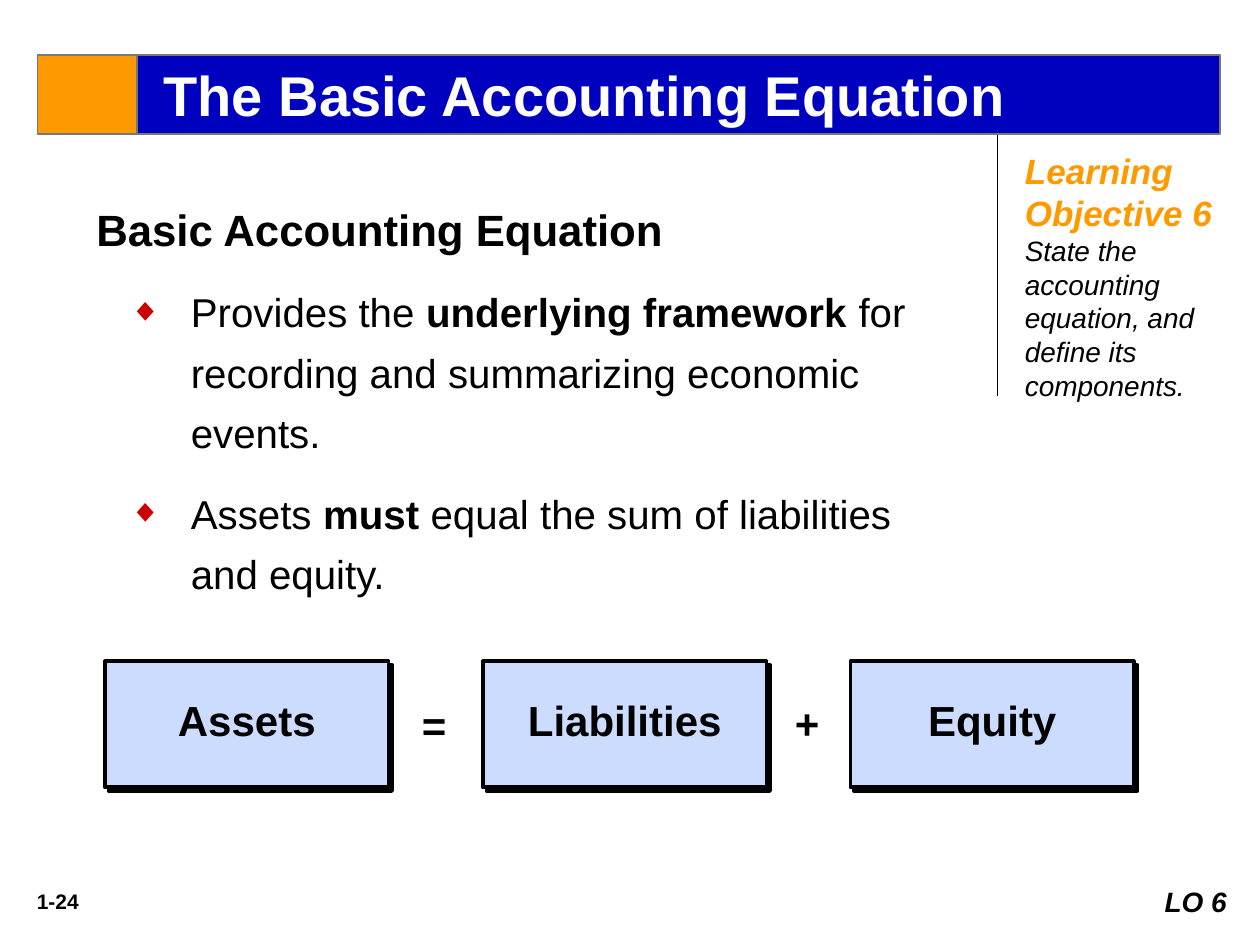
from lxml.etree import SubElement
from pptx import Presentation
from pptx.dml.color import RGBColor
from pptx.enum.shapes import MSO_CONNECTOR, MSO_SHAPE
from pptx.enum.text import MSO_ANCHOR, MSO_AUTO_SIZE, PP_ALIGN
from pptx.oxml.ns import qn
from pptx.util import Pt

FONT = "Arial"
COLORS = {
    "black": "000000",
    "white": "FFFFFF",
    "blue": "0000BF",
    "orange": "FF9900",
    "grey": "777777",
    "red": "CC0000",
    "pale blue": "CBDCFF",
}


def color(name):
    return RGBColor.from_string(COLORS[name])


def set_font(font, size, name="black", bold=False, italic=False):
    font.name, font.size, font.bold, font.italic = FONT, Pt(size), bold, italic
    font.color.rgb = color(name)


def set_outline(shape, fill, line, width):
    shape.fill.solid()
    shape.fill.fore_color.rgb = color(fill)
    shape.line.color.rgb = color(line)
    shape.line.width = Pt(width)


def set_margins(frame, left, top, right, bottom):
    frame.margin_left, frame.margin_top = Pt(left), Pt(top)
    frame.margin_right, frame.margin_bottom = Pt(right), Pt(bottom)


def add_rectangle(slide, left, top, width, height, fill, line, line_width):
    shape = slide.shapes.add_shape(
        MSO_SHAPE.RECTANGLE, Pt(left), Pt(top), Pt(width), Pt(height))
    shape.shadow.inherit = False
    set_outline(shape, fill, line, line_width)
    return shape


def add_text_box(slide, left, top, width, height):
    box = slide.shapes.add_textbox(Pt(left), Pt(top), Pt(width), Pt(height))
    box.text_frame.word_wrap = True
    return box


def add_label(slide, left, top, width, height, text, size, align, italic=False):
    box = add_text_box(slide, left, top, width, height)
    paragraph = box.text_frame.paragraphs[0]
    paragraph.text = text
    paragraph.alignment = align
    set_font(paragraph.font, size, bold=True, italic=italic)
    return box


def add_title_bar(slide, left, top, width, height, text):
    square = 57
    title = slide.shapes.title
    title.left, title.top = Pt(left + square), Pt(top)
    title.width, title.height = Pt(width - square), Pt(height)
    set_outline(title, "blue", "grey", 1)
    frame = title.text_frame
    frame.auto_size = MSO_AUTO_SIZE.NONE
    frame.vertical_anchor = MSO_ANCHOR.MIDDLE
    set_margins(frame, 15, 3.6, 6.5, 3.6)
    paragraph = frame.paragraphs[0]
    paragraph.text = text
    paragraph.alignment = PP_ALIGN.LEFT
    set_font(paragraph.font, 32, "white", bold=True)
    add_rectangle(slide, left, top, square, height, "orange", "grey", 1)


def add_bullet(paragraph):
    properties = paragraph._p.get_or_add_pPr()
    properties.set("marL", str(Pt(54)))
    properties.set("indent", str(-Pt(35.3)))
    bullet_color = SubElement(properties, qn("a:buClr"))
    SubElement(bullet_color, qn("a:srgbClr"), val=COLORS["red"])
    SubElement(properties, qn("a:buSzPct"), val="80000")
    SubElement(properties, qn("a:buFont"), typeface=FONT)
    SubElement(properties, qn("a:buChar"), char="◆")


def add_body(slide, left, top, width, height, heading, points):
    """Each point is a list of texts, every second one bold."""
    frame = add_text_box(slide, left, top, width, height).text_frame
    paragraph = frame.paragraphs[0]
    paragraph.text = heading
    paragraph.line_spacing = 1.25
    set_font(paragraph.font, 25, bold=True)
    for texts in points:
        paragraph = frame.add_paragraph()
        paragraph.line_spacing = 1.25
        paragraph.space_before = Pt(11.5)
        add_bullet(paragraph)
        for index, text in enumerate(texts):
            run = paragraph.add_run()
            run.text = text
            set_font(run.font, 23, bold=index % 2 == 1)


def add_objective(slide, left, top, width, height, heading, text):
    rule = slide.shapes.add_connector(
        MSO_CONNECTOR.STRAIGHT, Pt(left), Pt(top), Pt(left), Pt(top + height))
    rule.line.color.rgb = color("black")
    rule.line.width = Pt(1)
    SubElement(rule._element.spPr, qn("a:effectLst"))
    box = add_text_box(slide, left + 8.6, top + 5, width - 8.6, height)
    paragraph = box.text_frame.paragraphs[0]
    for words, size, name, bold in (
            (heading, 20, "orange", True), (text, 16, "black", False)):
        run = paragraph.add_run()
        run.text = words
        set_font(run.font, size, name, bold, italic=True)


def add_hard_shadow(shape):
    effects = shape._element.spPr.find(qn("a:effectLst"))
    shadow = SubElement(effects, qn("a:outerShdw"), blurRad="0",
                        dist=str(Pt(2.8)), dir="2700000", algn="ctr",
                        rotWithShape="0")
    SubElement(shadow, qn("a:srgbClr"), val=COLORS["black"])


def add_equation(slide, left, top, height, terms, operators):
    """Terms are (offset, text); operators are (offset, drop, text, align)."""
    for offset, text in terms:
        shape = add_rectangle(slide, left + offset, top, 162, height,
                              "pale blue", "black", 2.25)
        add_hard_shadow(shape)
        frame = shape.text_frame
        frame.word_wrap = True
        frame.vertical_anchor = MSO_ANCHOR.MIDDLE
        set_margins(frame, 14.4, 0, 14.4, 5)
        paragraph = frame.paragraphs[0]
        paragraph.text = text
        paragraph.alignment = PP_ALIGN.CENTER
        set_font(paragraph.font, 24, bold=True)
    for offset, drop, text, align in operators:
        add_label(slide, left + offset, top + drop, 34.5, 36, text, 24, align)


def add_footer(slide, left, top, width, page, objective):
    add_label(slide, left, top + 2, 54, 21.6, page, 12, PP_ALIGN.CENTER)
    box = add_label(slide, left + width - 60, top, 60, 26.6, objective, 16,
                    PP_ALIGN.RIGHT, italic=True)
    box.fill.solid()
    box.fill.fore_color.rgb = color("white")


def main():
    presentation = Presentation()
    presentation.slide_width, presentation.slide_height = Pt(720), Pt(540)
    slide = presentation.slides.add_slide(presentation.slide_layouts[5])
    add_title_bar(slide, 21.5, 31.3, 675.5, 45.3, "The Basic Accounting Equation")
    add_body(slide, 48, 105, 504, 239, "Basic Accounting Equation", [
        ["Provides the ", "underlying framework",
         " for recording and summarizing economic events."],
        ["Assets ", "must", " equal the sum of liabilities and equity."],
    ])
    add_objective(slide, 570, 77, 132.6, 149.5, "Learning Objective 6 ",
                  "State the accounting equation, and define its components.")
    add_equation(slide, 60, 378, 72,
                 [(0, "Assets"), (216, "Liabilities"), (426, "Equity")],
                 [(174, 18, "=", PP_ALIGN.LEFT), (384, 17, "+", PP_ALIGN.CENTER)])
    add_footer(slide, 6, 502, 702, "1-24", "LO 6")
    presentation.save("out.pptx")


if __name__ == "__main__":
    main()
